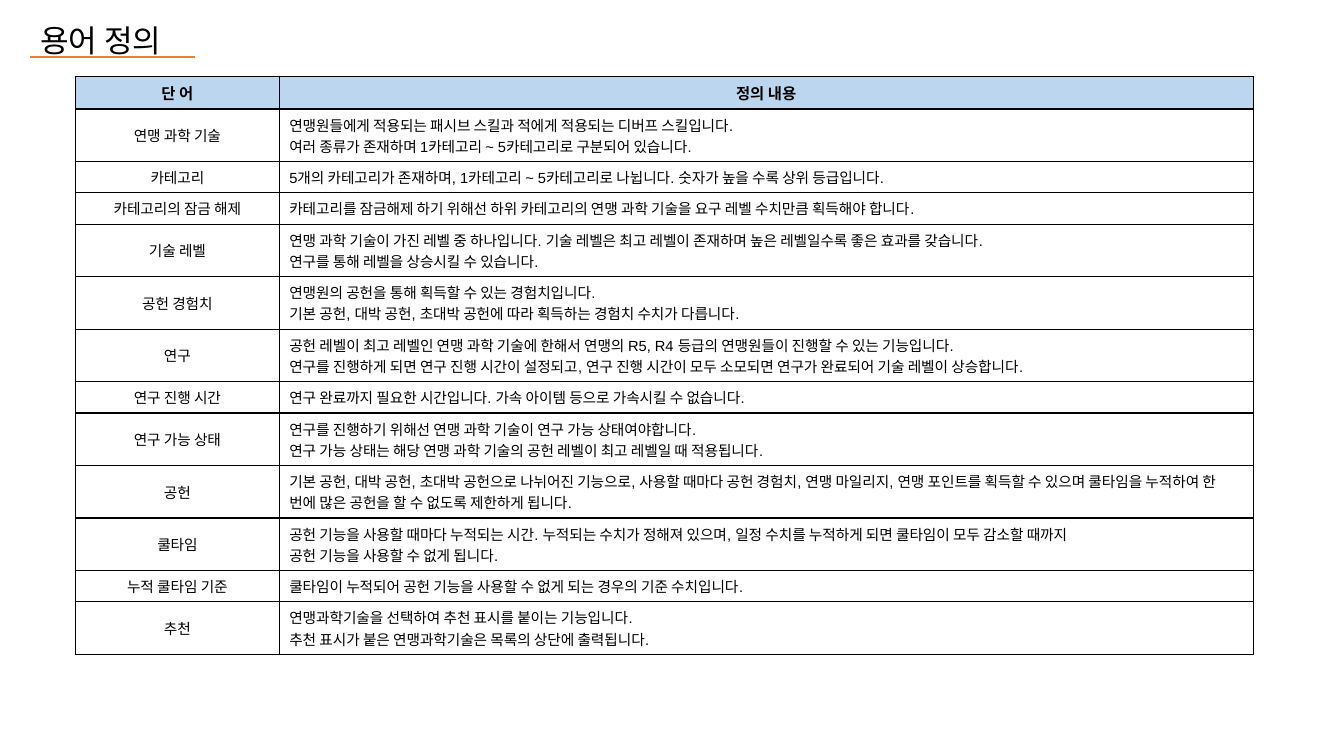
from lxml.etree import SubElement
from pptx import Presentation
from pptx.dml.color import RGBColor
from pptx.enum.shapes import MSO_CONNECTOR as Connector
from pptx.enum.text import MSO_ANCHOR as Anchor, MSO_AUTO_SIZE as AutoSize, PP_ALIGN as Align
from pptx.oxml.ns import qn
from pptx.util import Inches, Pt

BLACK = RGBColor(0x00, 0x00, 0x00)
WHITE = RGBColor(0xFF, 0xFF, 0xFF)
HEADER_BLUE = RGBColor(0xBB, 0xD6, 0xEE)
ORANGE = RGBColor(0xED, 0x7D, 0x31)

HEADINGS = ("단 어", "정의 내용")
GLOSSARY = [
    ("연맹 과학 기술",
     "연맹원들에게 적용되는 패시브 스킬과 적에게 적용되는 디버프 스킬입니다.\n"
     "여러 종류가 존재하며 1카테고리 ~ 5카테고리로 구분되어 있습니다."),
    ("카테고리",
     "5개의 카테고리가 존재하며, 1카테고리 ~ 5카테고리로 나뉩니다. 숫자가 높을 수록 상위 등급입니다."),
    ("카테고리의 잠금 해제",
     "카테고리를 잠금해제 하기 위해선 하위 카테고리의 연맹 과학 기술을 요구 레벨 수치만큼 획득해야 합니다."),
    ("기술 레벨",
     "연맹 과학 기술이 가진 레벨 중 하나입니다. 기술 레벨은 최고 레벨이 존재하며 높은 레벨일수록 좋은 효과를 갖습니다.\n"
     "연구를 통해 레벨을 상승시킬 수 있습니다."),
    ("공헌 경험치",
     "연맹원의 공헌을 통해 획득할 수 있는 경험치입니다.\n"
     "기본 공헌, 대박 공헌, 초대박 공헌에 따라 획득하는 경험치 수치가 다릅니다."),
    ("연구",
     "공헌 레벨이 최고 레벨인 연맹 과학 기술에 한해서 연맹의 R5, R4 등급의 연맹원들이 진행할 수 있는 기능입니다.\n"
     "연구를 진행하게 되면 연구 진행 시간이 설정되고, 연구 진행 시간이 모두 소모되면 연구가 완료되어 기술 레벨이 상승합니다."),
    ("연구 진행 시간",
     "연구 완료까지 필요한 시간입니다. 가속 아이템 등으로 가속시킬 수 없습니다."),
    ("연구 가능 상태",
     "연구를 진행하기 위해선 연맹 과학 기술이 연구 가능 상태여야합니다.\n"
     "연구 가능 상태는 해당 연맹 과학 기술의 공헌 레벨이 최고 레벨일 때 적용됩니다."),
    ("공헌",
     "기본 공헌, 대박 공헌, 초대박 공헌으로 나뉘어진 기능으로, 사용할 때마다 공헌 경험치, 연맹 마일리지, "
     "연맹 포인트를 획득할 수 있으며 쿨타임을 누적하여 한 번에 많은 공헌을 할 수 없도록 제한하게 됩니다."),
    ("쿨타임",
     "공헌 기능을 사용할 때마다 누적되는 시간. 누적되는 수치가 정해져 있으며, "
     "일정 수치를 누적하게 되면 쿨타임이 모두 감소할 때까지\n"
     "공헌 기능을 사용할 수 없게 됩니다."),
    ("누적 쿨타임 기준",
     "쿨타임이 누적되어 공헌 기능을 사용할 수 없게 되는 경우의 기준 수치입니다."),
    ("추천",
     "연맹과학기술을 선택하여 추천 표시를 붙이는 기능입니다.\n"
     "추천 표시가 붙은 연맹과학기술은 목록의 상단에 출력됩니다."),
]


class GlossarySlide:
    font_name = "Arial"

    def __init__(self, deck):
        self.slide = deck.slides.add_slide(deck.slide_layouts[5])

    def style_text(self, frame, size, align, bold=False):
        for paragraph in frame.paragraphs:
            paragraph.alignment = align
            for run in paragraph.runs:
                run.font.name = self.font_name
                run.font.size = Pt(size)
                run.font.bold = bold
                run.font.color.rgb = BLACK

    def title(self, text, left, top, width, height):
        heading = self.slide.shapes.title
        heading.left, heading.top = Inches(left), Inches(top)
        heading.width, heading.height = Inches(width), Inches(height)
        frame = heading.text_frame
        frame.text = text
        frame.auto_size = AutoSize.NONE
        frame.word_wrap = True
        frame.vertical_anchor = Anchor.TOP
        frame.paragraphs[0].line_spacing = 1.4
        self.style_text(frame, 22.2, Align.LEFT)

    def underline(self, left, right, y):
        rule = self.slide.shapes.add_connector(
            Connector.STRAIGHT, Inches(left), Inches(y), Inches(right), Inches(y))
        rule.line.color.rgb = ORANGE
        rule.line.width = Pt(1.5)
        SubElement(rule._element.spPr, qn("a:effectLst"))

    def border(self, cell):
        properties = cell._tc.get_or_add_tcPr()
        for side in ("lnL", "lnR", "lnT", "lnB"):
            edge = SubElement(properties, qn(f"a:{side}"), w=str(Pt(1)))
            fill = SubElement(edge, qn("a:solidFill"))
            SubElement(fill, qn("a:srgbClr"), val=str(BLACK))

    def table(self, rows, left, top, column_widths, row_height):
        grid = self.slide.shapes.add_table(
            len(rows), len(column_widths), Inches(left), Inches(top),
            Inches(sum(column_widths)), Inches(row_height * len(rows))).table
        for column, width in zip(grid.columns, column_widths):
            column.width = Inches(width)
        for row_index, texts in enumerate(rows):
            is_header = row_index == 0
            grid.rows[row_index].height = Inches(row_height)
            for column_index, text in enumerate(texts):
                cell = grid.cell(row_index, column_index)
                cell.text_frame.text = text
                cell.vertical_anchor = Anchor.MIDDLE
                self.border(cell)
                cell.fill.solid()
                cell.fill.fore_color.rgb = HEADER_BLUE if is_header else WHITE
                centred = is_header or column_index == 0
                self.style_text(cell.text_frame, 11 if is_header else 10.5,
                                Align.CENTER if centred else Align.LEFT, is_header)


def main():
    deck = Presentation()
    deck.slide_width, deck.slide_height = Inches(13.33), Inches(7.5)
    page = GlossarySlide(deck)
    page.title("용어 정의", 0.3, 0.01, 6.49, 0.64)
    page.underline(0.3, 1.93, 0.57)
    page.table([HEADINGS] + GLOSSARY, 0.75, 0.76, (2.02, 9.66), 0.15)
    deck.save("out.pptx")


if __name__ == "__main__":
    main()
